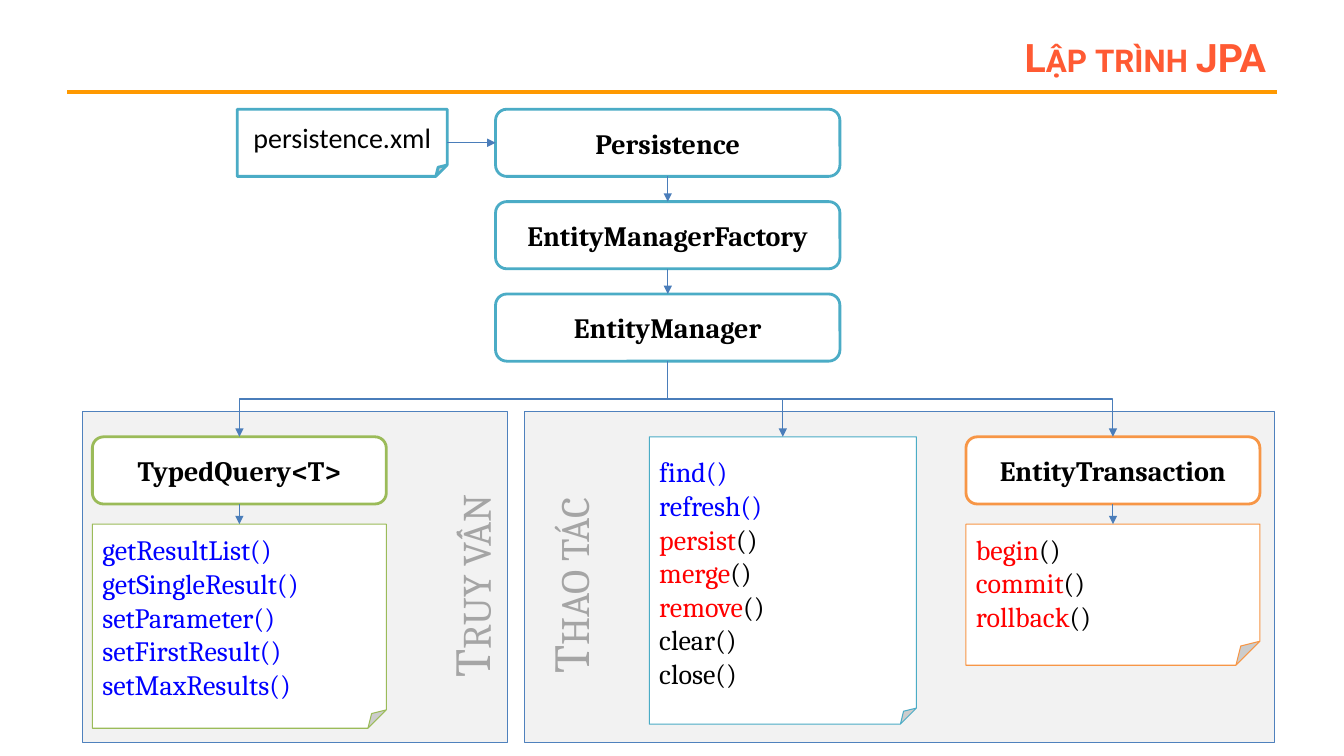
from lxml.etree import SubElement
from pptx import Presentation
from pptx.dml.color import RGBColor
from pptx.enum.shapes import MSO_CONNECTOR, MSO_SHAPE
from pptx.enum.text import MSO_ANCHOR, PP_ALIGN
from pptx.oxml.ns import qn
from pptx.util import Inches, Pt

COLS, ROWS = 160, 90
UNIT = Inches(1) / 12  # one grid cell

BLACK = RGBColor(0x00, 0x00, 0x00)
WHITE = RGBColor(0xFF, 0xFF, 0xFF)
BLUE = RGBColor(0x00, 0x00, 0xFF)
RED = RGBColor(0xFF, 0x00, 0x00)
PANEL_GREY = RGBColor(0xF2, 0xF2, 0xF2)
LABEL_GREY = RGBColor(0xA5, 0xA5, 0xA5)
PANEL_EDGE = RGBColor(0x4F, 0x81, 0xBD)
ARROW_BLUE = RGBColor(0x4A, 0x7D, 0xBA)
TEAL = RGBColor(0x4B, 0xAC, 0xC6)
GREEN = RGBColor(0x9B, 0xBB, 0x59)
ORANGE = RGBColor(0xF7, 0x96, 0x46)
TITLE_RED = RGBColor(0xFF, 0x5A, 0x33)
RULE_ORANGE = RGBColor(0xFF, 0x99, 0x00)

TOP, LEFT, BOTTOM, RIGHT = range(4)
BOX_H = 8
CHAIN_X, CHAIN_W, CHAIN_Y, CHAIN_STEP = 59, 41, 13, 11
QUERY_X, MANAGE_X, TRANSACTION_X = 11, 77.3, 115
SIDE_W, SIDE_Y, NOTE_Y = 35, 52, 62.4


def grid(*cells):
    return [round(c * UNIT) for c in cells]


def write(s, lines, size=20, font="Cambria", color=BLACK, bold=False,
          align=PP_ALIGN.LEFT, anchor=MSO_ANCHOR.MIDDLE, small_caps=False):
    """Fill s with lines; a line is a string or a list of (text, colour) runs."""
    tf = s.text_frame
    tf.word_wrap = True
    tf.vertical_anchor = anchor
    for i, line in enumerate(lines):
        p = tf.add_paragraph() if i else tf.paragraphs[0]
        p.alignment = align
        for text, run_color in [(line, color)] if isinstance(line, str) else line:
            r = p.add_run()
            r.text = text
            r.font.size = Pt(size)
            r.font.name = font
            r.font.bold = bold
            r.font.color.rgb = run_color
            if small_caps:
                r._r.get_or_add_rPr().set("cap", "small")


def add_block(sp, kind, cells, edge, width=0.75, fill=WHITE):
    s = sp.add_shape(kind, *grid(*cells))
    s.shadow.inherit = False
    s.fill.solid()
    s.fill.fore_color.rgb = fill
    s.line.color.rgb = edge
    s.line.width = Pt(width)
    return s


def add_class_box(sp, name, x, y, w, edge):
    s = add_block(sp, MSO_SHAPE.ROUNDED_RECTANGLE, (x, y, w, BOX_H), edge, 2)
    write(s, [name], bold=True, align=PP_ALIGN.CENTER)
    return s


def add_note(sp, lines, cells, edge, fold=0.17, width=0.75, **fmt):
    """Folded sheet; python-pptx lists no adjustment for it, so fold is set in XML."""
    s = add_block(sp, MSO_SHAPE.FOLDED_CORNER, cells, edge, width)
    geometry = s._element.spPr.find(qn("a:prstGeom"))
    for old in list(geometry):
        geometry.remove(old)
    guides = SubElement(geometry, qn("a:avLst"))
    SubElement(guides, qn("a:gd"), name="adj", fmla=f"val {round(fold * 100000)}")
    write(s, lines, **fmt)
    return s


def add_text(sp, text, cells, rotation=0, **fmt):
    s = sp.add_textbox(*grid(*cells))
    s.rotation = rotation
    write(s, [text], small_caps=True, **fmt)


def style_line(c, color, width):
    c.line.color.rgb = color
    c.line.width = Pt(width)
    SubElement(c._element.spPr, qn("a:effectLst"))


def add_arrow(sp, start, end, sides=(BOTTOM, TOP), kind=MSO_CONNECTOR.STRAIGHT):
    c = sp.add_connector(kind, 0, 0, 0, 0)
    c.begin_connect(start, sides[0])
    c.end_connect(end, sides[1])
    style_line(c, ARROW_BLUE, 0.75)
    line = c._element.spPr.find(qn("a:ln"))
    SubElement(line, qn("a:tailEnd"), type="triangle")
    return c


def add_branch(sp, start, end):
    """Elbow arrow that leaves downwards, runs across and enters from above."""
    c = add_arrow(sp, start, end, kind=MSO_CONNECTOR.ELBOW)
    x1, y1, x2, y2 = c.begin_x, c.begin_y, c.end_x, c.end_y
    w, h = y2 - y1, abs(x2 - x1)
    c.left, c.top = (x1 + x2 - w) // 2, (y1 + y2 - h) // 2
    c.width, c.height = w, h
    xfrm = c._element.spPr.find(qn("a:xfrm"))
    for flip in ("flipH", "flipV"):
        xfrm.attrib.pop(flip, None)
    to_right = x2 > x1
    xfrm.set("rot", str((270 if to_right else 90) * 60000))
    if to_right:
        xfrm.set("flipH", "1")


def calls(color, *methods):
    """Method lines with coloured names and black brackets."""
    return [[(m, color), ("()", BLACK)] for m in methods]


def main():
    prs = Presentation()
    prs.slide_width, prs.slide_height = grid(COLS, ROWS)
    sp = prs.slides.add_slide(prs.slide_layouts[6]).shapes

    rule = sp.add_connector(MSO_CONNECTOR.STRAIGHT, *grid(8, 11, 152, 11))
    style_line(rule, RULE_ORANGE, 3)
    add_text(sp, "Lập trình JPA", (29.3, 3.6, 122.6, 6.4), size=28, font="Roboto",
             color=TITLE_RED, bold=True, align=PP_ALIGN.RIGHT)

    for x, w in ((62.4, 89.3), (9.8, 50.6)):
        add_block(sp, MSO_SHAPE.RECTANGLE, (x, 49, w, 39.4), PANEL_EDGE, fill=PANEL_GREY)
    for label, x in (("Truy vấn", 43.6), ("Thao tác", 55.3)):
        add_text(sp, label, (x, 65.5, 25, 8.5), rotation=270, size=36,
                 color=LABEL_GREY, align=PP_ALIGN.CENTER, anchor=MSO_ANCHOR.TOP)

    names = ("Persistence", "EntityManagerFactory", "EntityManager")
    chain = [add_class_box(sp, name, CHAIN_X, CHAIN_Y + i * CHAIN_STEP, CHAIN_W, TEAL)
             for i, name in enumerate(names)]
    for upper, lower in zip(chain, chain[1:]):
        add_arrow(sp, upper, lower)

    config = add_note(sp, ["persistence.xml"], (28.25, CHAIN_Y, 25, BOX_H), TEAL,
                      width=2, font="Calibri", align=PP_ALIGN.CENTER)
    add_arrow(sp, config, chain[0], (RIGHT, LEFT))

    query = add_class_box(sp, "TypedQuery<T>", QUERY_X, SIDE_Y, SIDE_W, GREEN)
    transaction = add_class_box(sp, "EntityTransaction", TRANSACTION_X, SIDE_Y, SIDE_W, ORANGE)

    query_note = add_note(
        sp, ["getResultList()", "getSingleResult()", "setParameter()",
             "setFirstResult()", "setMaxResults()"],
        (QUERY_X, NOTE_Y, SIDE_W, 24.3), GREEN, 0.09, color=BLUE)
    transaction_note = add_note(
        sp, calls(RED, "begin", "commit", "rollback"),
        (TRANSACTION_X, NOTE_Y, SIDE_W, 16.8), ORANGE)
    manage_note = add_note(
        sp, [[("find()", BLUE)], [("refresh()", BLUE)],
             *calls(RED, "persist", "merge", "remove"), "clear()", "close()"],
        (MANAGE_X, SIDE_Y, 31.8, 34.2), TEAL, 0.06)

    add_arrow(sp, query, query_note)
    add_arrow(sp, transaction, transaction_note)
    for target in (query, transaction, manage_note):
        add_branch(sp, chain[-1], target)

    prs.save("out.pptx")


if __name__ == "__main__":
    main()
